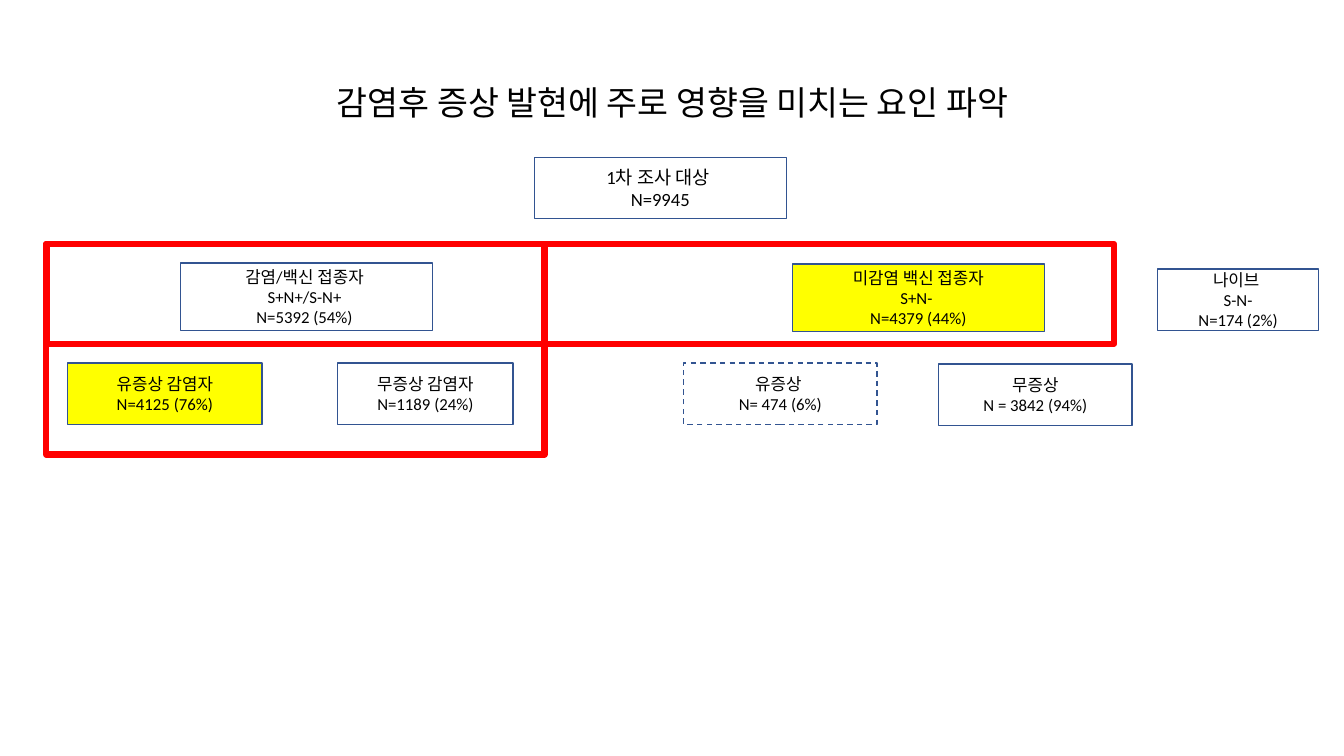
from dataclasses import dataclass

from pptx import Presentation
from pptx.dml.color import RGBColor
from pptx.enum.dml import MSO_LINE_DASH_STYLE as Dash
from pptx.enum.shapes import MSO_SHAPE as Shape
from pptx.enum.text import MSO_ANCHOR as Anchor, PP_ALIGN as Align
from pptx.util import Inches, Pt

SLIDE_W, SLIDE_H = Inches(13.33), Inches(7.5)
FONT = "Calibri"
BLACK, NAVY, RED, YELLOW = "000000", "325491", "FF0000", "FFFF00"
WIDE, NARROW = 18.75, 14.4
TALL, SHORT = 8.93, 8.13
FRAME_LEFT, FRAME_TOP = 3.45, 32.27


@dataclass(frozen=True)
class Area:
    left: float
    top: float
    width: float
    height: float

    def emu(self) -> tuple[int, int, int, int]:
        return (
            round(SLIDE_W * self.left / 100),
            round(SLIDE_H * self.top / 100),
            round(SLIDE_W * self.width / 100),
            round(SLIDE_H * self.height / 100),
        )


@dataclass(frozen=True)
class Group:
    text: str
    area: Area
    fill: str | None = None
    dashed: bool = False
    size: float = 12


TITLE = "감염후 증상 발현에 주로 영향을 미치는 요인 파악"
TITLE_AREA = Area(6.9, 5.33, 86.27, 16.93)

GROUPS = [
    Group("1차 조사 대상 \nN=9945", Area(39.76, 20.8, WIDE, SHORT), size=13.3),
    Group("감염/백신 접종자 \nS+N+/S-N+ \nN=5392 (54%) ", Area(13.43, 34.8, WIDE, TALL)),
    Group("미감염 백신 접종자\nS+N- \nN=4379 (44%)", Area(58.96, 34.93, WIDE, TALL), YELLOW),
    Group("나이브 \nS-N-\nN=174 (2%)", Area(86.12, 35.6, 12, SHORT)),
    Group("유증상 감염자\nN=4125 (76%)", Area(5.03, 48, 14.48, SHORT), YELLOW),
    Group("무증상 감염자\nN=1189 (24%)", Area(25.13, 48, 13.05, SHORT)),
    Group("유증상 \nN= 474 (6%)", Area(50.86, 48, NARROW, SHORT), dashed=True),
    Group("무증상\nN = 3842 (94%)", Area(69.84, 48.13, NARROW, SHORT)),
]

FRAMES = [
    Area(FRAME_LEFT, FRAME_TOP, 37.06, 27.87),
    Area(FRAME_LEFT, FRAME_TOP, 79.44, 13.2),
]


def color(value: str) -> RGBColor:
    return RGBColor.from_string(value)


def write(tf, text: str, size: float, spacing: float | None = None) -> None:
    tf.word_wrap = True
    tf.vertical_anchor = Anchor.MIDDLE
    tf.text = text
    for p in tf.paragraphs:
        p.alignment = Align.CENTER
        p.line_spacing = spacing
        for r in p.runs:
            r.font.name = FONT
            r.font.size = Pt(size)
            r.font.color.rgb = color(BLACK)


def add_rect(shapes, area: Area, line: str, weight: float, fill: str | None = None):
    sp = shapes.add_shape(Shape.RECTANGLE, *area.emu())
    sp.shadow.inherit = False
    sp.line.color.rgb = color(line)
    sp.line.width = Pt(weight)
    if fill:
        sp.fill.solid()
        sp.fill.fore_color.rgb = color(fill)
    else:
        sp.fill.background()
    return sp


def add_group(shapes, group: Group) -> None:
    sp = add_rect(shapes, group.area, NAVY, 1, group.fill)
    if group.dashed:
        sp.line.dash_style = Dash.DASH
    write(sp.text_frame, group.text, group.size)


def main() -> None:
    prs = Presentation()
    prs.slide_width, prs.slide_height = SLIDE_W, SLIDE_H
    s = prs.slides.add_slide(prs.slide_layouts[6])
    for group in GROUPS:
        add_group(s.shapes, group)
    for frame in FRAMES:
        add_rect(s.shapes, frame, RED, 4.5)
    title = s.shapes.add_textbox(*TITLE_AREA.emu())
    write(title.text_frame, TITLE, 24, 0.9)
    prs.save("out.pptx")


if __name__ == "__main__":
    main()
